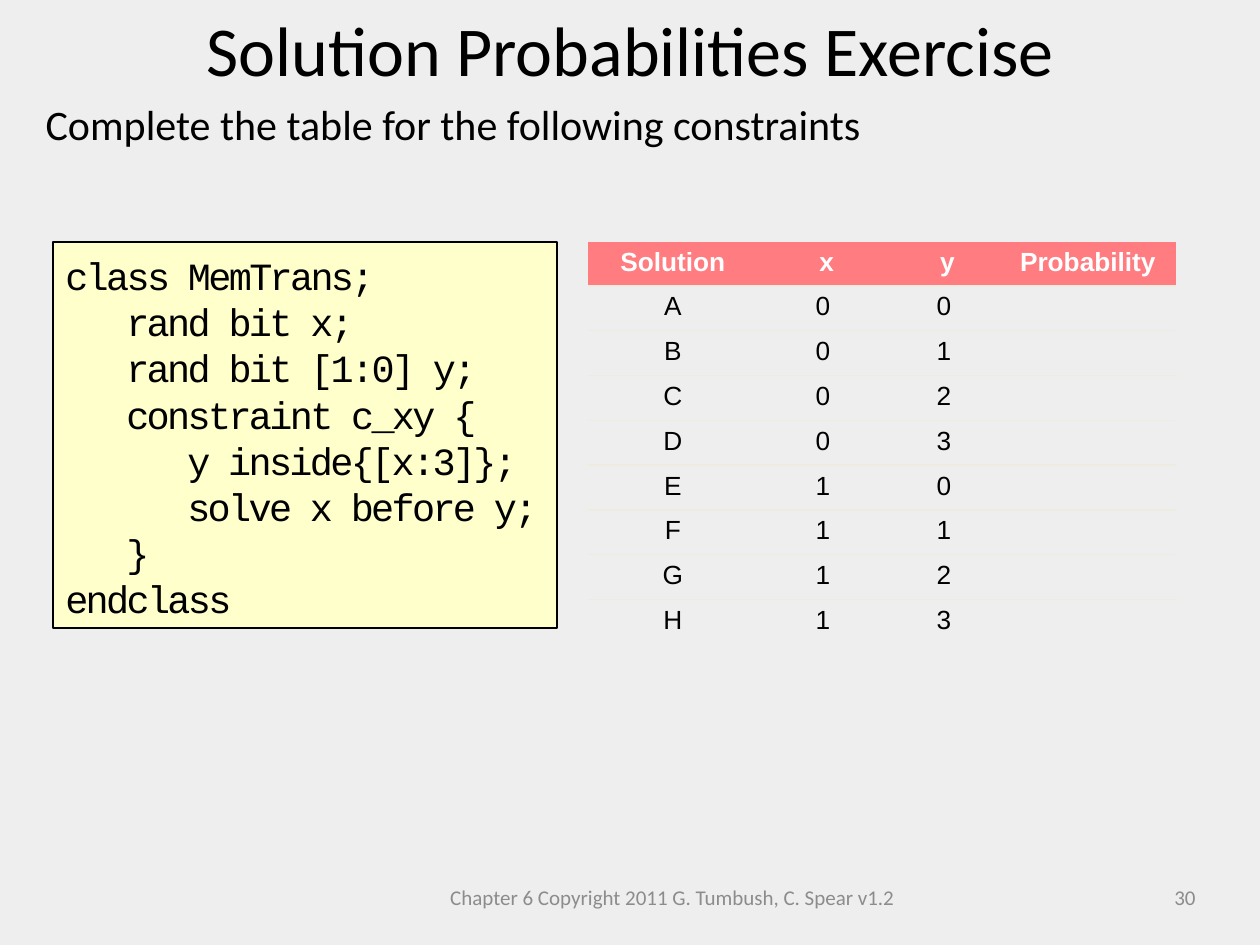
"""Build a slide with a code sample and a table of solutions to fill in."""
from dataclasses import dataclass
from lxml.etree import SubElement as Sub
from pptx import Presentation as Deck
from pptx.dml.color import RGBColor as Color
from pptx.enum.shapes import MSO_SHAPE as Shape
from pptx.enum.text import MSO_ANCHOR as Anchor, MSO_AUTO_SIZE as Fit, PP_ALIGN as Align
from pptx.oxml import parse_xml
from pptx.oxml.ns import nsdecls, qn
from pptx.util import Pt

SCALE = 914400 / 126
NO_STYLE = "{2D5ABB26-0587-4C30-8999-92F81FD0307C}"


@dataclass(frozen=True)
class Theme:
    back: str = "EEEEEE"
    ink: str = "000000"
    pale: str = "FFFFFF"
    gray: str = "8C8C8C"
    note: str = "FFFFCC"
    head: str = "FF7C80"
    rule: str = "EEECE1"
    sans: str = "Calibri"
    grid: str = "Arial"
    mono: str = "Courier New"
    title: int = 40
    body: int = 24
    code: int = 22
    cell: int = 15
    foot: int = 12


def px(size):
    return round(size * SCALE)


def rgb(code):
    return Color.from_string(code)


def write(par, text, *, size, font, color, bold=False, align=Align.LEFT,
          track=None, pitch=None, left=0):
    par.alignment = align
    par.space_before = Pt(0)
    if pitch:
        par.line_spacing = Pt(pitch)
    props = par._p.get_or_add_pPr()
    props.set("marL", str(px(left)))
    props.set("indent", "0")
    Sub(props, qn("a:buNone"))
    if not text:
        par._p.get_or_add_endParaRPr().set("sz", str(size * 100))
        return
    run = par.add_run()
    run.text = text
    run.font.size, run.font.name, run.font.bold = Pt(size), font, bold
    run.font.color.rgb = rgb(color)
    if track:
        run._r.get_or_add_rPr().set("spc", str(round(track * 100)))


class Page:
    def __init__(self, deck, theme):
        self.theme = theme
        self.slide = deck.slides.add_slide(deck.slide_layouts[1])
        fill = self.slide.background.fill
        fill.solid()
        fill.fore_color.rgb = rgb(theme.back)

    def place(self, slot, text, box, **style):
        item = self.slide.placeholders[slot]
        item.left, item.top, item.width, item.height = map(px, box)
        self.frame(item, Anchor.TOP)
        write(item.text_frame.paragraphs[0], text, font=self.theme.sans,
              color=self.theme.ink, **style)

    def frame(self, item, anchor):
        frame = item.text_frame
        frame.word_wrap, frame.auto_size = True, Fit.NONE
        frame.vertical_anchor = anchor
        return frame

    def foot(self, text, box, align):
        item = self.slide.shapes.add_textbox(*map(px, box))
        frame = self.frame(item, Anchor.MIDDLE)
        write(frame.paragraphs[0], text, size=self.theme.foot, font=self.theme.sans,
              color=self.theme.gray, align=align)

    def code(self, lines, box):
        item = self.slide.shapes.add_shape(Shape.RECTANGLE, *map(px, box))
        item.shadow.inherit = False
        item.fill.solid()
        item.fill.fore_color.rgb = rgb(self.theme.note)
        item.line.color.rgb = rgb(self.theme.ink)
        item.line.width = Pt(1.25)
        frame = self.frame(item, Anchor.TOP)
        frame.margin_top = px(10)
        for row, (depth, text) in enumerate(lines):
            par = frame.add_paragraph() if row else frame.paragraphs[0]
            write(par, text, size=self.theme.code, font=self.theme.mono,
                  color=self.theme.ink, track=-1.5, pitch=26.4, left=61 * depth)

    def table(self, rows, left, top, widths, tall):
        box = left, top, sum(widths), tall * len(rows)
        table = self.slide.shapes.add_table(len(rows), len(widths), *map(px, box)).table
        table.first_row = table.horz_banding = False
        table._tbl.tblPr.find(qn("a:tableStyleId")).text = NO_STYLE
        for col, width in zip(table.columns, widths):
            col.width = px(width)
        for row, texts in enumerate(rows):
            table.rows[row].height = px(tall)
            for col, text in enumerate(texts):
                self.cell(table.cell(row, col), text, row == 0, row == len(rows) - 1)

    def cell(self, cell, text, head, last):
        theme = self.theme
        write(cell.text_frame.paragraphs[0], text, size=theme.cell, font=theme.grid,
              color=theme.pale if head else theme.ink, bold=head, align=Align.CENTER)
        if head:
            cell.fill.solid()
            cell.fill.fore_color.rgb = rgb(theme.head)
        else:
            cell.fill.background()
        if not last:
            edge = parse_xml(f'<a:lnB {nsdecls("a")} w="12700"><a:solidFill>'
                             f'<a:srgbClr val="{theme.rule}"/></a:solidFill></a:lnB>')
            cell._tc.get_or_add_tcPr().insert(0, edge)


def main():
    deck = Deck()
    deck.slide_width, deck.slide_height = px(1260), px(945)
    theme = Theme()
    page = Page(deck, theme)
    page.place(0, "Solution Probabilities Exercise", (0, 0, 1260, 97),
               size=theme.title, align=Align.CENTER)
    page.place(1, "Complete the table for the following constraints",
               (33, 92, 1207, 63), size=theme.body)
    page.code([(0, "class MemTrans;"), (1, "rand bit x;"), (1, "rand bit [1:0] y;"),
               (1, "constraint c_xy {"), (2, "y inside{[x:3]};"),
               (2, "solve x before y;"), (1, "}"), (0, "endclass")],
              (53, 242, 504, 386))
    cases = [(name, str(n // 4), str(n % 4), "") for n, name in enumerate("ABCDEFGH")]
    page.table([("Solution", " x", " y", "Probability"), *cases],
               588, 242, (170, 130, 112, 176), 44)
    page.foot("Chapter 6 Copyright 2011 G. Tumbush, C. Spear v1.2",
              (431, 872, 483, 50), Align.CENTER)
    page.foot("30", (914, 872, 294, 50), Align.RIGHT)
    deck.save("out.pptx")


if __name__ == "__main__":
    main()
